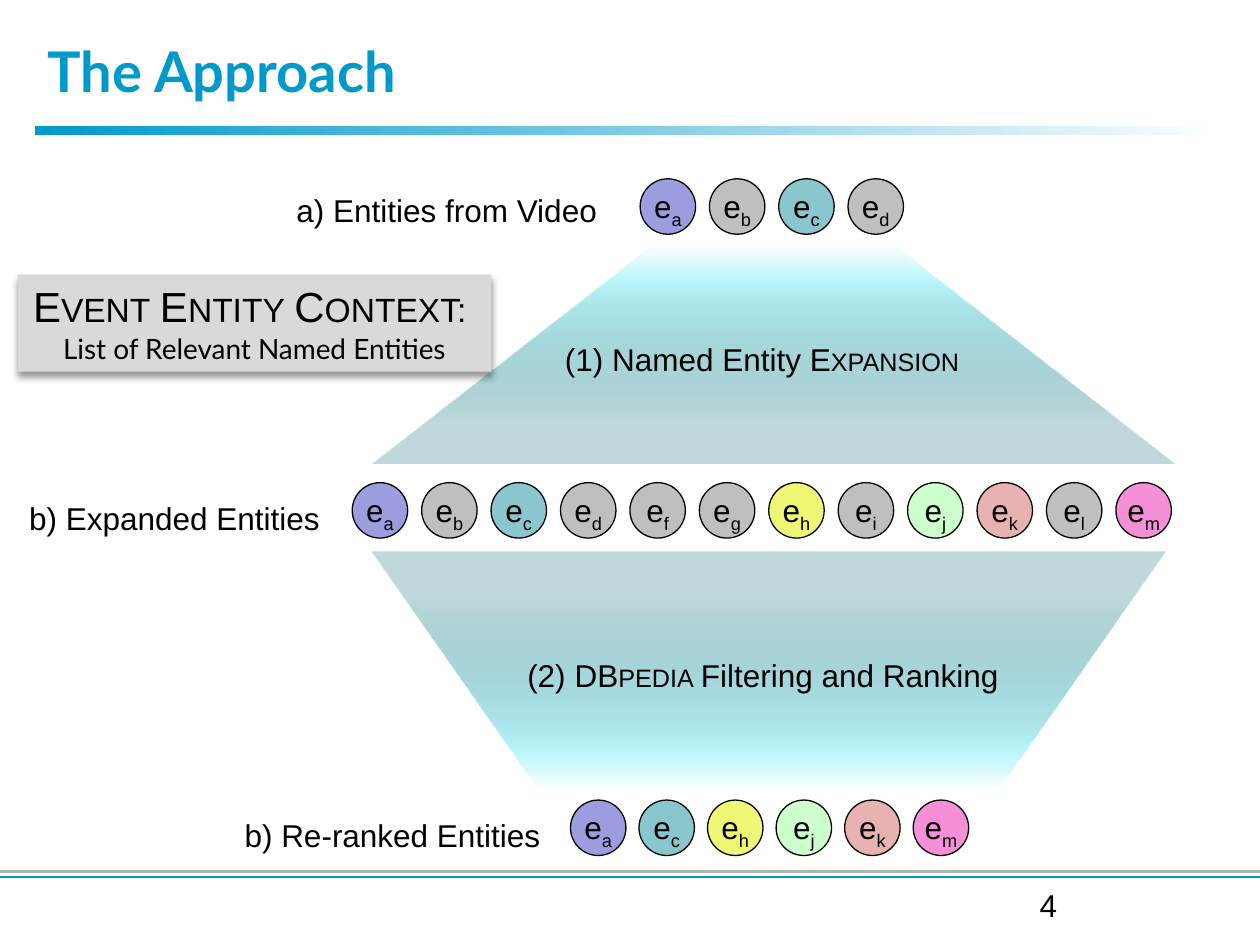
from lxml.etree import SubElement
from pptx import Presentation
from pptx.dml.color import RGBColor
from pptx.enum.shapes import MSO_CONNECTOR, MSO_SHAPE
from pptx.enum.text import MSO_ANCHOR, MSO_AUTO_SIZE, PP_ALIGN
from pptx.oxml import parse_xml
from pptx.oxml.ns import nsdecls, qn
from pptx.util import Pt

HUES = {
    "blue": "0099CC", "rule": "B2B2B2", "black": "000000", "white": "FFFFFF",
    "panel": "D9D9D9", "teal": "3C8C93", "aqua": "B7F5FB", "gray": "BFBFBF",
    "a": "9C9CDF", "c": "8AC6CD", "h": "EEF875", "j": "CCFFCC",
    "k": "E8B2B3", "m": "F590D8",
}
BODY = {"name": "Arial", "size": Pt(18), "bold": False}
HEAD = {"name": "Lato", "size": Pt(32), "bold": True}
LARGE = {**BODY, "size": Pt(24)}
NOTE = {**BODY, "name": "Lato", "size": Pt(16)}
PLAIN, SMALL, LOW = {}, {"cap": "small"}, {"baseline": "-25000"}


def write(para, parts, style, hue="black", align=PP_ALIGN.CENTER):
    para.alignment = align
    for text, marks in parts:
        run = para.add_run()
        run.text = text
        for key, value in style.items():
            setattr(run.font, key, value)
        run.font.color.rgb = RGBColor.from_string(HUES[hue])
        for key, value in marks.items():
            run.font._element.set(key, value)


def blend(shape, stops, angle):
    shape.shadow.inherit = False
    shape.line.fill.background()
    marks = "".join(
        f'<a:gs pos="{pos * 1000}"><a:srgbClr val="{HUES[hue]}">'
        f'<a:alpha val="{alpha * 1000}"/></a:srgbClr></a:gs>'
        for pos, hue, alpha in stops)
    grad = parse_xml(
        f'<a:gradFill {nsdecls("a")} rotWithShape="1"><a:gsLst>{marks}</a:gsLst>'
        f'<a:lin ang="{angle * 60000}" scaled="0"/></a:gradFill>')
    shape._element.spPr.find(qn("a:prstGeom")).addnext(grad)


deck = Presentation()
deck.slide_width, deck.slide_height = Pt(720), Pt(540)
shapes = deck.slides.add_slide(deck.slide_layouts[6]).shapes

bar = shapes.add_shape(MSO_SHAPE.RECTANGLE, Pt(20), Pt(71.8), Pt(680), Pt(5.4))
blend(bar, [(0, "blue", 100), (100, "white", 100)], 0)

for top, hue in [(498, "rule"), (501.2, "blue")]:
    line = shapes.add_connector(MSO_CONNECTOR.STRAIGHT, 0, Pt(top), Pt(720), Pt(top))
    line.line.color.rgb = RGBColor.from_string(HUES[hue])
    line.line.width = Pt(1.5)
    SubElement(line._element.spPr, qn("a:effectLst"))

for top, width, height, slant, flip in [
    (139.7, 459.4, 125.3, 1.288, "0"),
    (315.3, 453.6, 136.1, 0.703, "1"),
]:
    flow = shapes.add_shape(MSO_SHAPE.TRAPEZOID, Pt(212.4), Pt(top), Pt(width), Pt(height))
    flow.adjustments[0] = slant
    flow._element.spPr.find(qn("a:xfrm")).set("flipV", flip)
    blend(flow, [(18, "teal", 32), (83, "aqua", 100), (100, "white", 100)], 270)

title = shapes.add_textbox(Pt(20.2), Pt(3.6), Pt(648), Pt(73.4)).text_frame
title.word_wrap = True
title.vertical_anchor = MSO_ANCHOR.MIDDLE
write(title.paragraphs[0], [("The Approach", PLAIN)], HEAD, "blue", PP_ALIGN.LEFT)

for left, top, step, names in [
    (365.8, 102.2, 39.6, "abcd"),
    (201.3, 275.8, 39.67, "abcdfghijklm"),
    (326, 457.2, 39.17, "achjkm"),
]:
    for spot, name in enumerate(names):
        dot = shapes.add_shape(
            MSO_SHAPE.OVAL, Pt(left + spot * step), Pt(top), Pt(31.7), Pt(31.7))
        dot.shadow.inherit = False
        dot.fill.solid()
        dot.fill.fore_color.rgb = RGBColor.from_string(HUES.get(name, HUES["gray"]))
        dot.line.color.rgb = RGBColor.from_string(HUES["black"])
        dot.line.width = Pt(0.75)
        frame = dot.text_frame
        frame.vertical_anchor = MSO_ANCHOR.TOP
        for side in ("left", "top", "right", "bottom"):
            setattr(frame, f"margin_{side}", 0)
        write(frame.paragraphs[0], [("e", PLAIN), (name, LOW)], BODY)

panel = shapes.add_shape(MSO_SHAPE.RECTANGLE, Pt(10.1), Pt(157), Pt(270.7), Pt(55.4))
panel.fill.solid()
panel.fill.fore_color.rgb = RGBColor.from_string(HUES["panel"])
panel.line.fill.background()
panel._element.spPr.append(parse_xml(
    f'<a:effectLst {nsdecls("a")}><a:outerShdw blurRad="{Pt(4)}" dist="{Pt(3)}" '
    f'dir="5400000" rotWithShape="0"><a:srgbClr val="{HUES["black"]}">'
    '<a:alpha val="40000"/></a:srgbClr></a:outerShdw></a:effectLst>'))
frame = panel.text_frame
frame.word_wrap = False
frame.auto_size = MSO_AUTO_SIZE.SHAPE_TO_FIT_TEXT
frame.vertical_anchor = MSO_ANCHOR.TOP
write(frame.paragraphs[0], [("Event Entity Context: ", SMALL)], LARGE)
write(frame.add_paragraph(), [("List of Relevant Named Entities", PLAIN)], NOTE)

for left, top, width, parts in [
    (314.6, 190.8, 241.9, [("(1) Named Entity ", PLAIN), ("Expansion", SMALL)]),
    (292.3, 371.5, 287.3,
     [("(2) ", PLAIN), ("DBpedia ", SMALL), ("Filtering and Ranking", PLAIN)]),
    (8.6, 281.5, 182.2, [("b) Expanded Entities", PLAIN)]),
    (131.8, 463, 185, [("b) Re-ranked Entities", PLAIN)]),
    (161.3, 105.8, 187.9, [("a) Entities from Video", PLAIN)]),
    (586.8, 502.6, 24.5, [("4", PLAIN)]),
]:
    frame = shapes.add_textbox(Pt(left), Pt(top), Pt(width), Pt(29)).text_frame
    frame.word_wrap = False
    frame.auto_size = MSO_AUTO_SIZE.SHAPE_TO_FIT_TEXT
    write(frame.paragraphs[0], parts, BODY)

deck.save("out.pptx")
